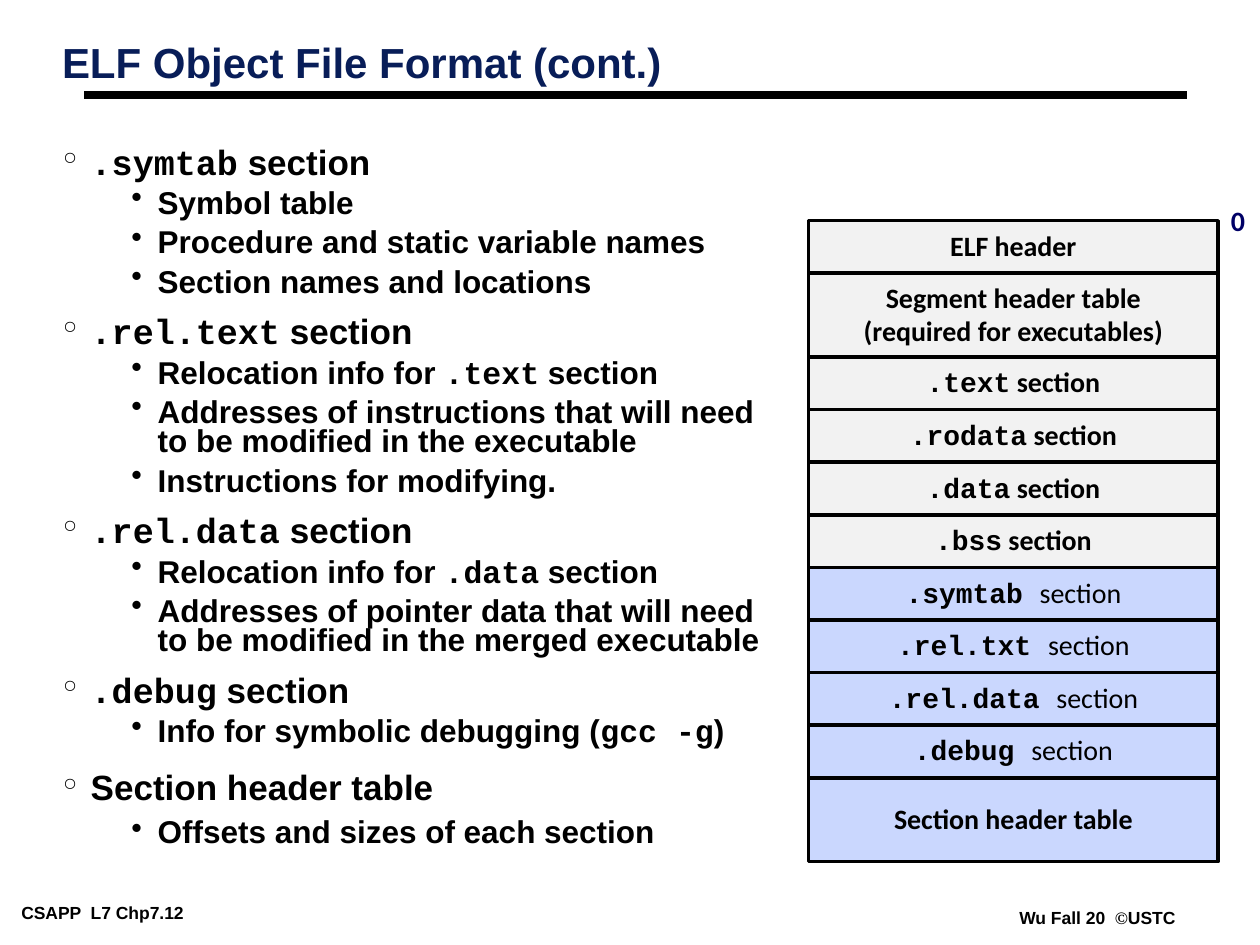
from dataclasses import dataclass

import lxml.etree
import pptx
import pptx.dml.color
import pptx.enum.shapes
import pptx.enum.text
import pptx.oxml.ns
import pptx.util

Cm = pptx.util.Cm
ALIGN = pptx.enum.text.PP_ALIGN
BLACK = "000000"
LIGHT = "F2F2F2"
BLUE = "CAD7FE"


@dataclass(frozen=True)
class Level:
    size: float
    bullet: str
    margin: float
    hanging: float
    before: float
    spacing: float


@dataclass(frozen=True)
class Point:
    text: str
    level: int = 1
    spacing: float | None = None


@dataclass(frozen=True)
class Section:
    text: str
    fill: str = LIGHT
    height: float = 1.06
    bold: bool = True


LEVELS = (
    Level(20, "°", 0.56, 0.56, 12.5, 0.71),
    Level(18, "•", 1.91, 0.53, 5.6, 0.78),
)

POINTS = (
    Point("`.symtab` section", 0),
    Point("Symbol table"),
    Point("Procedure and static variable names"),
    Point("Section names and locations"),
    Point("`.rel.text` section", 0),
    Point("Relocation info for `.text` section"),
    Point("Addresses of instructions that will need to be modified in the executable"),
    Point("Instructions for modifying."),
    Point("`.rel.data` section", 0),
    Point("Relocation info for `.data` section"),
    Point("Addresses of pointer data that will need to be modified in the merged executable"),
    Point("`.debug` section", 0),
    Point("Info for symbolic debugging (`gcc -g`)"),
    Point("Section header table", 0, 0.88),
    Point("Offsets and sizes of each section", 1, 0.88),
)

SECTIONS = (
    Section("ELF header"),
    Section("Segment header table\n(required for executables)", height=1.69),
    Section("`.text` section"),
    Section("`.rodata` section"),
    Section("`.data` section"),
    Section("`.bss` section"),
    Section("`.symtab `section", BLUE, bold=False),
    Section("`.rel.txt `section", BLUE, bold=False),
    Section("`.rel.data `section", BLUE, bold=False),
    Section("`.debug `section", BLUE, bold=False),
    Section("Section header table", BLUE, 1.69),
)


def rgb(value: str) -> pptx.dml.color.RGBColor:
    return pptx.dml.color.RGBColor.from_string(value)


def write(para, text: str, *, size: float, font: str = "Arial", accent: str = "Courier New",
          color: str = BLACK, bold: bool = True, align=ALIGN.LEFT, spacing: float = 1.0) -> None:
    para.alignment = align
    para.line_spacing = spacing
    for index, piece in enumerate(text.split("`")):
        if not piece:
            continue
        accented = index % 2 == 1
        span = para.add_run()
        span.text = piece
        span.font.name = accent if accented else font
        span.font.size = pptx.util.Pt(size)
        span.font.bold = bold or accented
        span.font.color.rgb = rgb(color)


def set_frame(frame, *, wrap: bool = True, inset: tuple[float, float] = (0.18, 0.08)) -> None:
    frame.word_wrap = wrap
    frame.auto_size = pptx.enum.text.MSO_AUTO_SIZE.NONE
    frame.vertical_anchor = pptx.enum.text.MSO_ANCHOR.TOP
    frame.margin_left = frame.margin_right = Cm(inset[0])
    frame.margin_top = frame.margin_bottom = Cm(inset[1])


def add_text_box(page, left: float, top: float, width: float, height: float, **frame_format):
    box = page.shapes.add_textbox(Cm(left), Cm(top), Cm(width), Cm(height))
    set_frame(box.text_frame, **frame_format)
    return box.text_frame


def add_bullet(para, level: Level) -> None:
    qn = pptx.oxml.ns.qn
    properties = para._p.get_or_add_pPr()
    properties.set("marL", str(Cm(level.margin)))
    properties.set("indent", str(-Cm(level.hanging)))
    color = lxml.etree.SubElement(properties, qn("a:buClr"))
    lxml.etree.SubElement(color, qn("a:srgbClr"), val=BLACK)
    lxml.etree.SubElement(properties, qn("a:buChar"), char=level.bullet)


def add_title(page) -> None:
    title = page.shapes.title
    title.left, title.top, title.width, title.height = Cm(1.07), Cm(0.79), Cm(24.21), Cm(2.18)
    set_frame(title.text_frame)
    write(title.text_frame.paragraphs[0], "ELF Object File Format (cont.)",
          size=24, color="081D58", spacing=0.87)
    rule = page.shapes.add_connector(pptx.enum.shapes.MSO_CONNECTOR.STRAIGHT,
                                     Cm(1.7), Cm(1.91), Cm(23.93), Cm(1.91))
    rule.line.color.rgb = rgb(BLACK)
    rule.line.width = pptx.util.Pt(4.5)
    lxml.etree.SubElement(rule._element.spPr, pptx.oxml.ns.qn("a:effectLst"))


def add_points(page) -> None:
    frame = add_text_box(page, 1.09, 2.97, 14.66, 15.19)
    for index, point in enumerate(POINTS):
        level = LEVELS[point.level]
        para = frame.add_paragraph() if index else frame.paragraphs[0]
        para.level = point.level
        add_bullet(para, level)
        para.space_before = pptx.util.Pt(level.before if index else 0)
        write(para, point.text, size=level.size, spacing=point.spacing or level.spacing)


def add_section(page, section: Section, top: float) -> None:
    box = page.shapes.add_shape(pptx.enum.shapes.MSO_SHAPE.RECTANGLE,
                                Cm(16.3), Cm(top), Cm(8.26), Cm(section.height))
    box.shadow.inherit = False
    box.fill.solid()
    box.fill.fore_color.rgb = rgb(section.fill)
    box.line.color.rgb = rgb(BLACK)
    box.line.width = pptx.util.Pt(2)
    frame = box.text_frame
    frame.word_wrap = False
    frame.vertical_anchor = pptx.enum.text.MSO_ANCHOR.MIDDLE
    for index, text in enumerate(section.text.split("\n")):
        para = frame.add_paragraph() if index else frame.paragraphs[0]
        write(para, text, size=16, font="Calibri", bold=section.bold, align=ALIGN.CENTER,
              spacing=0.94 if "`" in text else 0.98)


def add_file_layout(page) -> None:
    top = 4.45
    for section in SECTIONS:
        add_section(page, section, top)
        top += section.height
    offset = add_text_box(page, 24.56, 4.01, 0.79, 0.91, wrap=False, inset=(0.25, 0.13))
    write(offset.paragraphs[0], "0", size=16, font="Calibri", color="000066",
          align=ALIGN.CENTER, spacing=0.98)


def add_footers(page) -> None:
    course = add_text_box(page, 0.25, 18.11, 4.95, 0.56)
    write(course.paragraphs[0], "CSAPP  L7 Chp7.12", size=10)
    term = add_text_box(page, 20.37, 18.21, 3.51, 0.56, wrap=False)
    write(term.paragraphs[0], "Wu Fall 20  `©`USTC", size=10, accent="Times New Roman")


def main() -> None:
    deck = pptx.Presentation()
    deck.slide_width, deck.slide_height = Cm(25.4), Cm(19.05)
    page = deck.slides.add_slide(deck.slide_layouts[5])
    add_footers(page)
    add_title(page)
    add_points(page)
    add_file_layout(page)
    deck.save("out.pptx")


if __name__ == "__main__":
    main()
